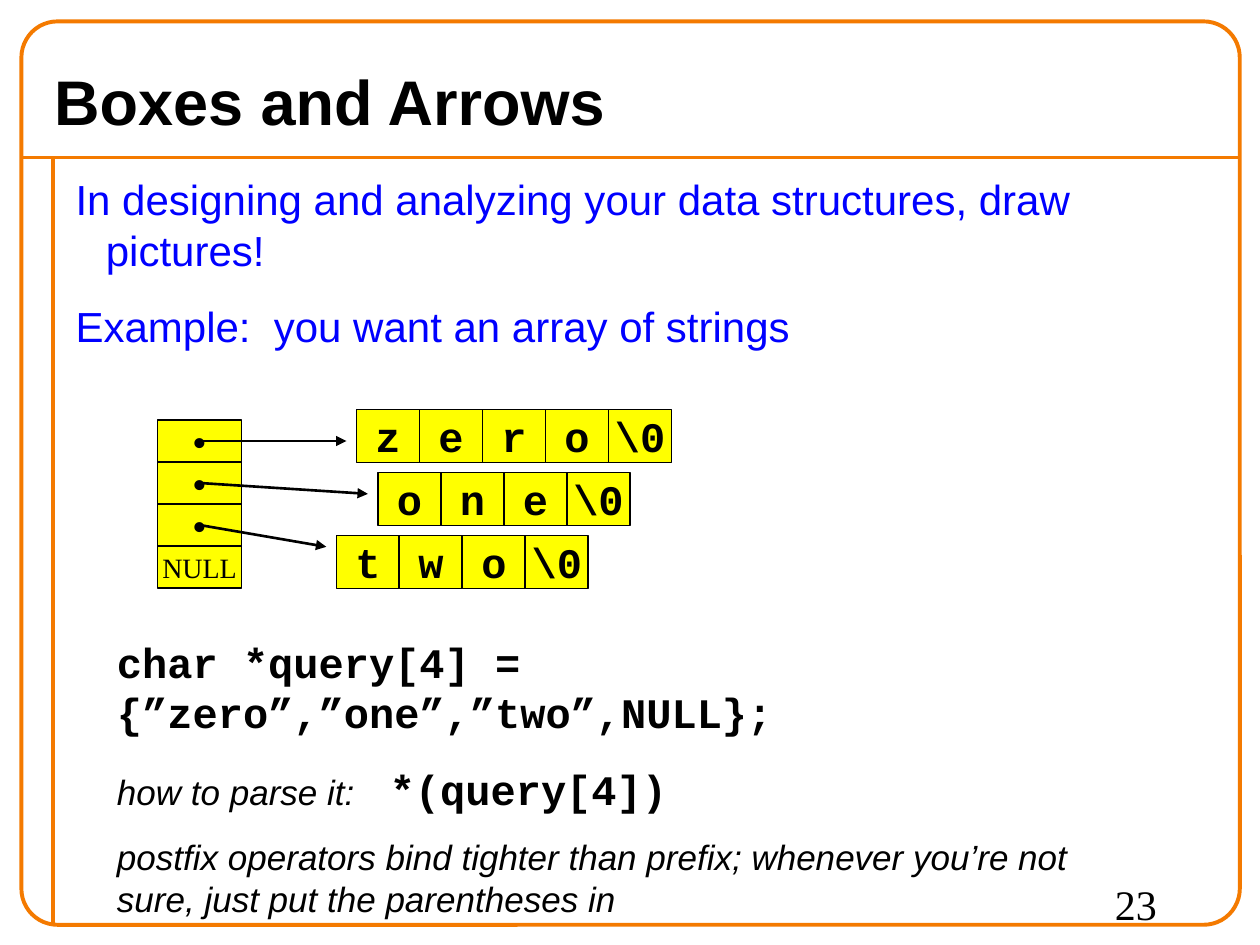
"""Build the "Boxes and Arrows" slide about an array of strings."""
from lxml import etree
from pptx import Presentation
from pptx.dml.color import RGBColor
from pptx.enum.shapes import MSO_CONNECTOR, MSO_SHAPE
from pptx.enum.text import MSO_ANCHOR, MSO_AUTO_SIZE, PP_ALIGN
from pptx.oxml.ns import qn
from pptx.util import Inches, Pt

STRAIGHT = MSO_CONNECTOR.STRAIGHT
RECTANGLE, ROUNDED = MSO_SHAPE.RECTANGLE, MSO_SHAPE.ROUNDED_RECTANGLE
TOP, MIDDLE = MSO_ANCHOR.TOP, MSO_ANCHOR.MIDDLE
LEFT, CENTER = PP_ALIGN.LEFT, PP_ALIGN.CENTER
NO_AUTOSIZE = MSO_AUTO_SIZE.NONE

THEME = {
    "orange": RGBColor(0xF4, 0x7A, 0x00),
    "yellow": RGBColor(0xFF, 0xFF, 0x00),
    "black": RGBColor(0, 0, 0),
    "styles": {
        "title": dict(name="Arial", size=36, color=RGBColor(0, 0, 0), bold=True),
        "body": dict(name="Arial", size=24, color=RGBColor(0, 0, 0xFF)),
        "code": dict(name="Courier New", size=24, color=RGBColor(0, 0, 0), bold=True),
        "note": dict(name="Arial", size=20, color=RGBColor(0, 0, 0), italic=True),
        "pointer": dict(name="Times New Roman", size=24, color=RGBColor(0, 0, 0)),
        "null": dict(name="Times New Roman", size=16, color=RGBColor(0, 0, 0)),
        "number": dict(name="Times New Roman", size=24, color=RGBColor(0, 0, 0)),
    },
}

TITLE = [(0, [("Boxes and Arrows", "title")])]
BODY = [
    (0, [("In designing and analyzing your data structures, draw pictures!", "body")]),
    (15, [("Example:  you want an array of strings", "body")]),
]
EXPLANATION = [
    (0, [("char *query[4] =\n{”zero”,”one”,”two”,NULL};", "code")]),
    (15, [("how to parse it: ", "note"), (" *(query[4])", "code")]),
    (12.5, [("postfix operators bind tighter than prefix; whenever you’re not sure, "
             "just put the parentheses in", "note")]),
]
PAGE_NUMBER = [(0, [("23", "number")])]
STRINGS = [("zero", 2.83), ("one", 3), ("two", 2.67)]

ARRAY_LEFT, ARRAY_TOP, ARRAY_WIDTH, ARRAY_STEP = 1.25, 10 / 3, 2 / 3, 1 / 3
STRING_TOP, STRING_STEP, CELL_WIDTH, CELL_HEIGHT = 3.25, 0.5, 0.5, 0.42
ARROW_TOP, ARROW_STEP, ARROW_GAP = 3.5, 0.42, 0.08


def write(text_frame, paragraphs, anchor=TOP, alignment=LEFT, wrap=True):
    text_frame.auto_size = NO_AUTOSIZE
    text_frame.word_wrap = wrap
    text_frame.vertical_anchor = anchor
    for index, (space_before, runs) in enumerate(paragraphs):
        paragraph = text_frame.add_paragraph() if index else text_frame.paragraphs[0]
        paragraph.alignment = alignment
        paragraph.space_before = Pt(space_before)
        for text, style_name in runs:
            style = THEME["styles"][style_name]
            for line_index, line in enumerate(text.split("\n")):
                if line_index:
                    paragraph.add_line_break()
                run = paragraph.add_run()
                run.text = line
                run.font.name = style["name"]
                run.font.size = Pt(style["size"])
                run.font.bold = style.get("bold", False)
                run.font.italic = style.get("italic", False)
                run.font.color.rgb = style["color"]


def place(shape, left, top, width, height):
    shape.left, shape.top = Inches(left), Inches(top)
    shape.width, shape.height = Inches(width), Inches(height)


def add_line(slide, start, end, color, width, arrow=False):
    connector = slide.shapes.add_connector(STRAIGHT, *map(Inches, start + end))
    connector.line.color.rgb = color
    connector.line.width = Pt(width)
    if arrow:
        line = connector.line._get_or_add_ln()
        etree.SubElement(line, qn("a:tailEnd"), type="triangle")
    etree.SubElement(connector._element.spPr, qn("a:effectLst"))


def add_cell(slide, text, style, box, line_width):
    cell = slide.shapes.add_shape(RECTANGLE, *map(Inches, box))
    cell.shadow.inherit = False
    cell.fill.solid()
    cell.fill.fore_color.rgb = THEME["yellow"]
    cell.line.color.rgb = THEME["black"]
    cell.line.width = Pt(line_width)
    write(cell.text_frame, [(0, [(text, style)])], MIDDLE, CENTER, wrap=False)


def add_text_box(slide, box, paragraphs):
    text_box = slide.shapes.add_textbox(*map(Inches, box))
    write(text_box.text_frame, paragraphs)


def add_frame(slide):
    orange = THEME["orange"]
    add_line(slide, (0.17, 1.25), (9.83, 1.25), orange, 2.25)
    add_line(slide, (0.42, 1.25), (0.42, 7.33), orange, 2.25)
    frame = slide.shapes.add_shape(ROUNDED, *map(Inches, (0.17, 0.17, 9.67, 7.17)))
    frame.adjustments[0] = 0.04
    frame.shadow.inherit = False
    frame.fill.background()
    frame.line.color.rgb = orange
    frame.line.width = Pt(2.25)


def add_placeholders(slide):
    title, body = slide.shapes.title, slide.placeholders[1]
    place(title, 0.33, 0.42, 9.33, 0.75)
    write(title.text_frame, TITLE, MIDDLE)
    place(body, 0.5, 1.33, 9.25, 1.5)
    write(body.text_frame, BODY)
    for paragraph in body.text_frame.paragraphs:
        properties = paragraph._p.get_or_add_pPr()
        properties.set("marL", str(Inches(0.24)))
        properties.set("indent", str(Inches(-0.24)))
        etree.SubElement(properties, qn("a:buNone"))


def add_diagram(slide):
    pointers = [("•", "pointer")] * len(STRINGS) + [("NULL", "null")]
    for row, (text, style) in enumerate(pointers):
        top = ARRAY_TOP + row * ARRAY_STEP
        add_cell(slide, text, style, (ARRAY_LEFT, top, ARRAY_WIDTH, ARRAY_STEP), 0.75)
    for row, (word, left) in enumerate(STRINGS):
        top = STRING_TOP + row * STRING_STEP
        for column, character in enumerate([*word, "\\0"]):
            box = (left + column * CELL_WIDTH, top, CELL_WIDTH, CELL_HEIGHT)
            add_cell(slide, character, "code", box, 1)
    for row, (word, left) in enumerate(STRINGS):
        start = (ARRAY_LEFT + ARRAY_WIDTH / 2, ARROW_TOP + row * ARRAY_STEP)
        end = (left - ARROW_GAP, ARROW_TOP + row * ARROW_STEP)
        add_line(slide, start, end, THEME["black"], 1.5, arrow=True)


def main():
    presentation = Presentation()
    presentation.slide_width, presentation.slide_height = Inches(10), Inches(7.5)
    slide = presentation.slides.add_slide(presentation.slide_layouts[1])
    add_frame(slide)
    add_placeholders(slide)
    add_diagram(slide)
    add_text_box(slide, (0.83, 5, 8.25, 2.35), EXPLANATION)
    add_text_box(slide, (8.75, 6.92, 1, 0.5), PAGE_NUMBER)
    presentation.save("out.pptx")


if __name__ == "__main__":
    main()
